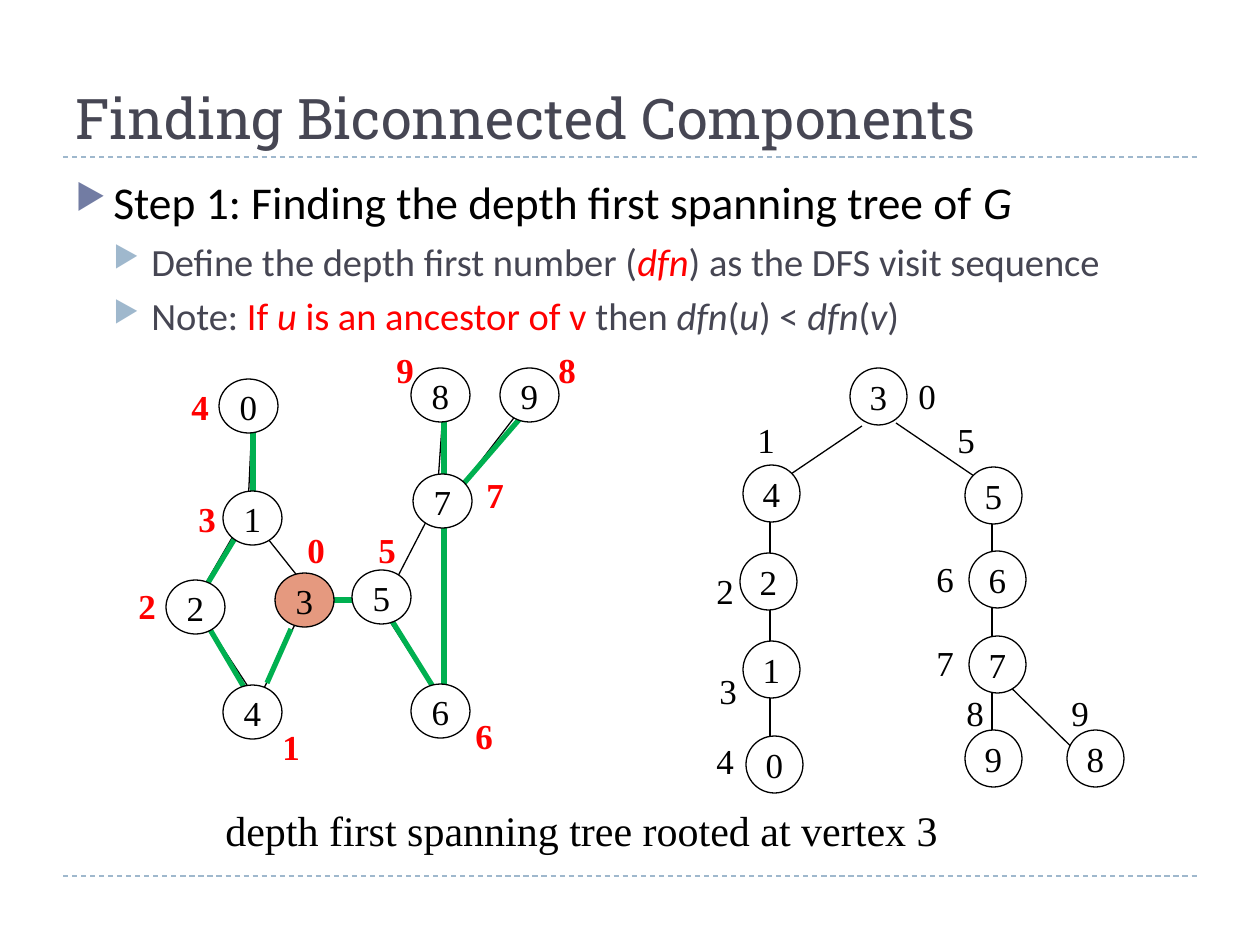
"""Builds the slide on finding biconnected components by depth first search."""
import lxml.etree
import pptx
import pptx.dml.color
import pptx.enum.dml
import pptx.enum.shapes
import pptx.enum.text
import pptx.oxml.ns
import pptx.util

PX = 914400 / 126
COLORS = {
    "black": "000000", "white": "FFFFFF", "red": "FF0000", "green": "00B050",
    "root": "E5997F", "slate": "464653", "rule": "9FB8CD", "bullet": "727CA3",
}
SERIF = "Times New Roman"
ANCHOR = pptx.enum.text.MSO_ANCHOR
ALIGN = pptx.enum.text.PP_ALIGN
qn = pptx.oxml.ns.qn
rgb = {name: pptx.dml.color.RGBColor.from_string(code) for name, code in COLORS.items()}

deck = pptx.Presentation()
deck.slide_width, deck.slide_height = pptx.util.Inches(10), pptx.util.Inches(7.5)
slide = deck.slides.add_slide(deck.slide_layouts[6])


def draw_line(ends, color="black", width=0.75):
    x1, y1, x2, y2 = [round(value * PX) for value in ends]
    line = slide.shapes.add_connector(pptx.enum.shapes.MSO_CONNECTOR.STRAIGHT, x1, y1, x2, y2)
    line.line.color.rgb = rgb[color]
    line.line.width = pptx.util.Pt(width)
    lxml.etree.SubElement(line._element.spPr, qn("a:effectLst"))
    return line


def write(frame, text, size=20, color="black", font=SERIF, bold=False,
          align=ALIGN.CENTER, anchor=ANCHOR.MIDDLE, wrap=False):
    frame.text = text
    frame.word_wrap = wrap
    frame.vertical_anchor = anchor
    paragraph = frame.paragraphs[0]
    paragraph.alignment = align
    lettering = paragraph.runs[0].font
    lettering.name, lettering.size, lettering.bold = font, pptx.util.Pt(size), bold
    lettering.color.rgb = rgb[color]


for rule_y in (876, 157):
    rule = draw_line((63, rule_y, 1197, rule_y), "rule")
    rule.line.dash_style = pptx.enum.dml.MSO_LINE.DASH

headings = [
    ((63, 21, 1134, 136), "Finding Biconnected Components", 32, "slate", "Roboto Slab", ANCHOR.BOTTOM),
    ((213, 798, 745, 63), "depth first spanning tree rooted at vertex 3", 24, "black", SERIF, ANCHOR.MIDDLE),
]
for area, text, size, color, font, anchor in headings:
    heading = slide.shapes.add_textbox(*[round(value * PX) for value in area])
    write(heading.text_frame, text, size, color, font, align=ALIGN.LEFT, anchor=anchor, wrap=True)

points = [
    (0, [("Step 1: Finding the depth first spanning tree of ", "black", False), ("G", "black", True)]),
    (1, [("Define the depth first number (", "slate", False), ("dfn", "red", True),
         (") as the DFS visit sequence", "slate", False)]),
    (1, [("Note:", "slate", False), (" If ", "red", False), ("u", "red", True),
         (" is an ancestor of v", "red", False), (" then ", "slate", False),
         ("dfn", "slate", True), ("(", "slate", False), ("u", "slate", True),
         (") < ", "slate", False), ("dfn", "slate", True), ("(", "slate", False),
         ("v", "slate", True), (")", "slate", False)]),
]
body = slide.shapes.add_textbox(*[round(value * PX) for value in (63, 168, 1134, 220)]).text_frame
body.word_wrap = True
for index, (level, pieces) in enumerate(points):
    point = body.add_paragraph() if index else body.paragraphs[0]
    point.level = level
    point.space_before = pptx.util.Pt(6 - level)
    for text, color, italic in pieces:
        run = point.add_run()
        run.text = text
        run.font.name, run.font.size = "Calibri", pptx.util.Pt(26 - 4 * level)
        run.font.italic = italic
        run.font.color.rgb = rgb[color]
    properties = point._p.get_or_add_pPr()
    indent = round(38 * PX)
    properties.set("marL", str(indent * (level + 1)))
    properties.set("indent", str(-indent))
    bullet_color = lxml.etree.SubElement(properties, qn("a:buClr"))
    lxml.etree.SubElement(bullet_color, qn("a:srgbClr"), val=COLORS["rule" if level else "bullet"])
    lxml.etree.SubElement(properties, qn("a:buSzPct"), val="76000")
    lxml.etree.SubElement(properties, qn("a:buChar"), char="▶")

graph_edges = [
    (352, 600, 329, 600), (430, 684, 389, 620), (247, 685, 209, 627), (464, 483, 520, 410),
    (252, 713, 301, 612), (189, 612, 243, 519), (438, 483, 444, 398), (248, 507, 252, 422),
    (299, 578, 268, 539), (397, 578, 427, 520),
]
visited_edges = [
    (444, 500, 444, 410), (253, 410, 253, 515), (249, 515, 194, 606), (195, 604, 261, 716),
    (315, 600, 383, 600), (379, 600, 445, 706), (444, 730, 444, 517), (447, 503, 530, 407),
    (267, 683, 291, 629),
]
tree_edges = [
    (770, 494, 770, 779), (992, 496, 992, 772), (992, 669, 1094, 769),
    (862, 426, 788, 476), (896, 423, 974, 476),
]
for edge in graph_edges + tree_edges:
    draw_line(edge)
for edge in visited_edges:
    draw_line(edge, "green", 3)

graph_nodes = {
    "0": (219, 379), "1": (223, 491), "2": (166, 580), "4": (223, 685), "3": (275, 573),
    "5": (352, 570), "6": (411, 684), "8": (411, 368), "9": (500, 368), "7": (413, 474),
}
tree_nodes = {
    "3": (850, 368), "4": (743, 465), "5": (965, 467), "7": (969, 636), "6": (969, 551),
    "9": (965, 730), "8": (1067, 730), "2": (740, 553), "0": (746, 736), "1": (743, 641),
}
for nodes, size, root_color in ((graph_nodes, (59, 54), "root"), (tree_nodes, (57, 57), "white")):
    for vertex, corner in nodes.items():
        node = slide.shapes.add_shape(pptx.enum.shapes.MSO_SHAPE.OVAL,
                                      *[round(value * PX) for value in corner + size])
        node.shadow.inherit = False
        node.fill.solid()
        node.fill.fore_color.rgb = rgb[root_color if vertex == "3" else "white"]
        node.line.color.rgb = rgb["black"]
        node.line.width = pptx.util.Pt(0.75)
        write(node.text_frame, vertex)

graph_numbers = {
    "0": (316, 549), "1": (291, 746), "2": (147, 605), "3": (207, 518), "4": (200, 406),
    "5": (387, 549), "6": (484, 736), "7": (495, 494), "8": (567, 369), "9": (405, 369),
}
tree_numbers = {
    "0": (927, 396), "1": (766, 440), "2": (725, 591), "3": (728, 690), "4": (725, 760),
    "5": (966, 440), "6": (945, 578), "7": (945, 662), "8": (975, 712), "9": (1080, 712),
}
for numbers, color, bold in ((graph_numbers, "red", True), (tree_numbers, "black", False)):
    for number, (x, y) in numbers.items():
        visit = slide.shapes.add_textbox(*[round(value * PX) for value in (x - 21, y - 28, 42, 56)])
        write(visit.text_frame, number, color=color, bold=bold, wrap=True)

deck.save("out.pptx")
